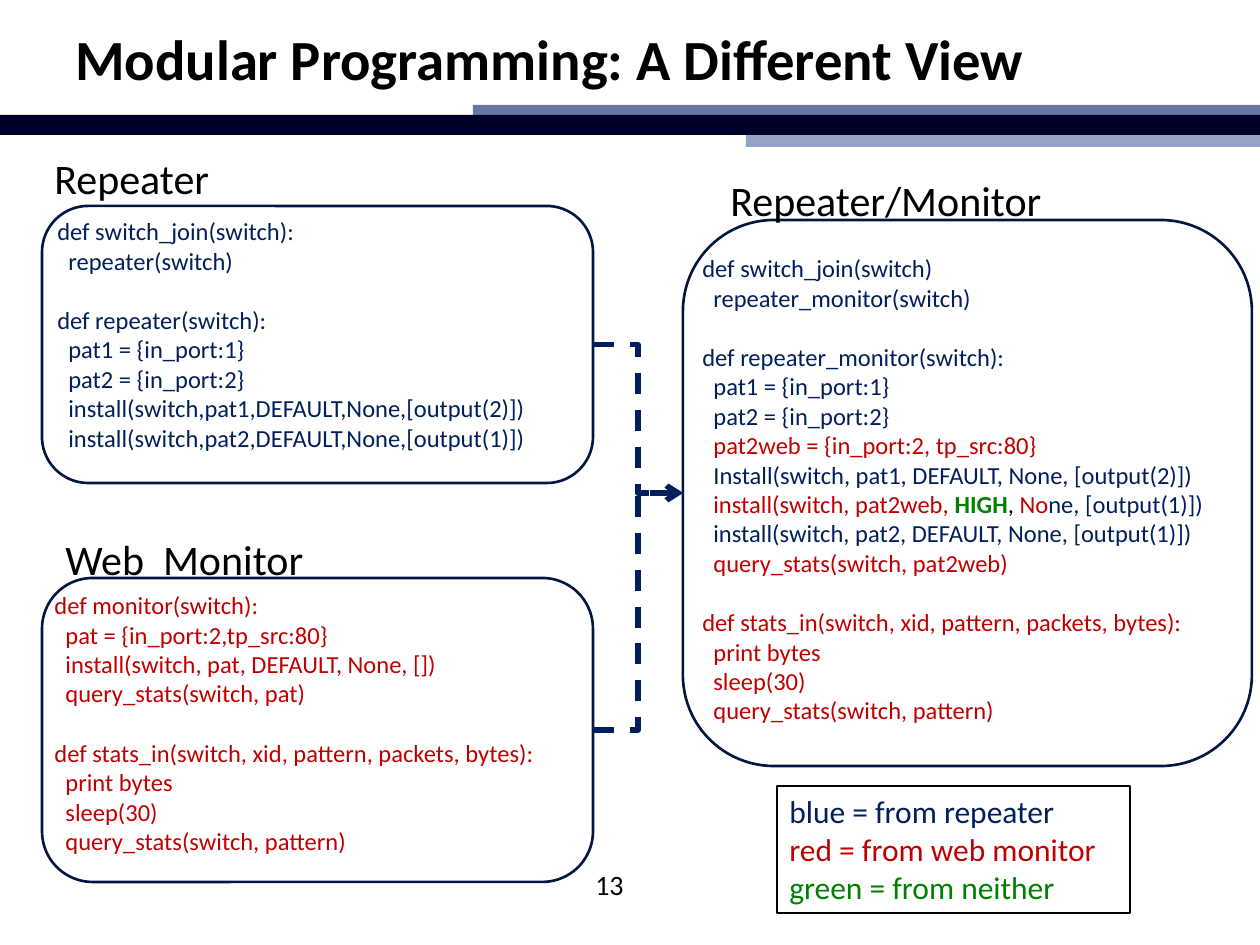
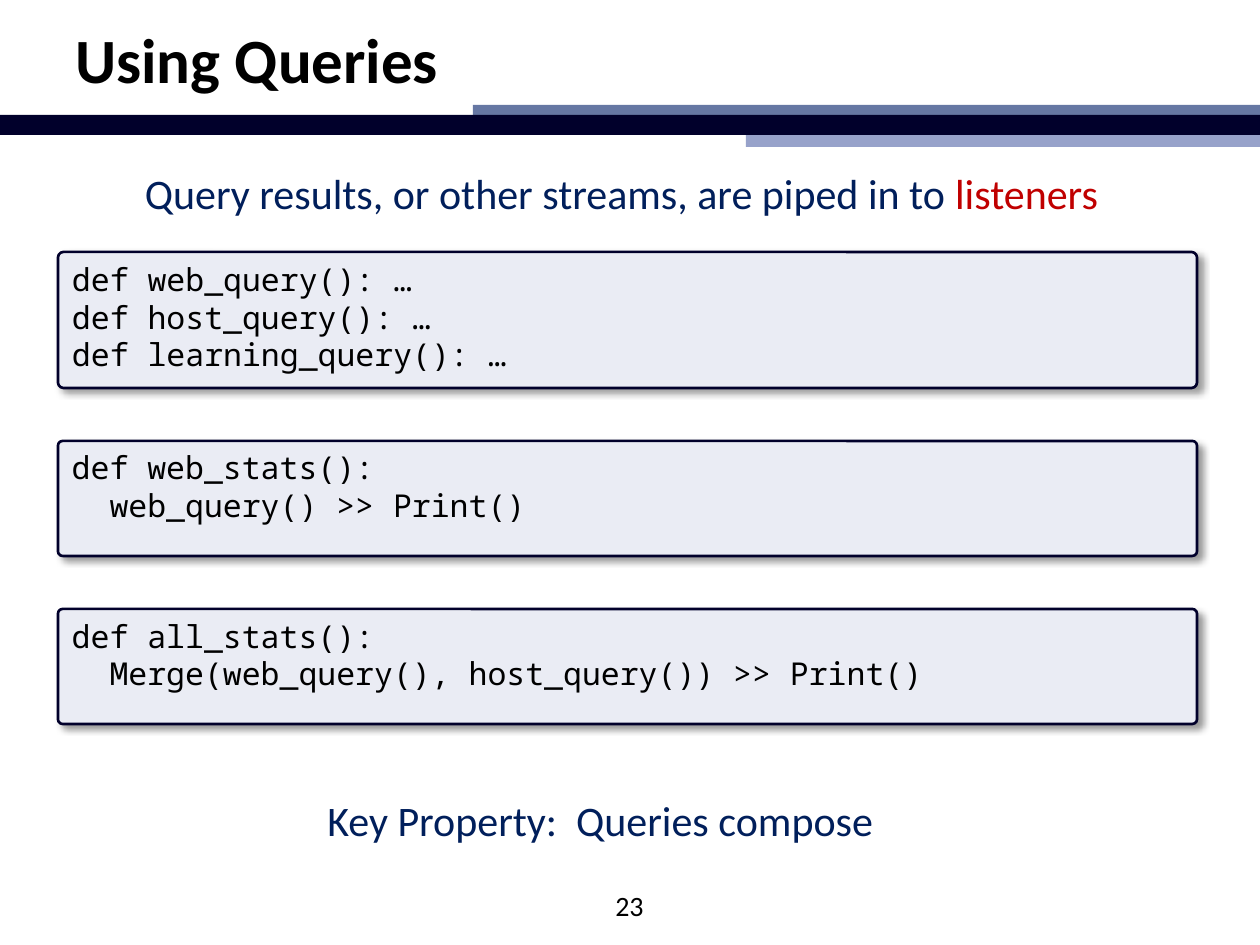
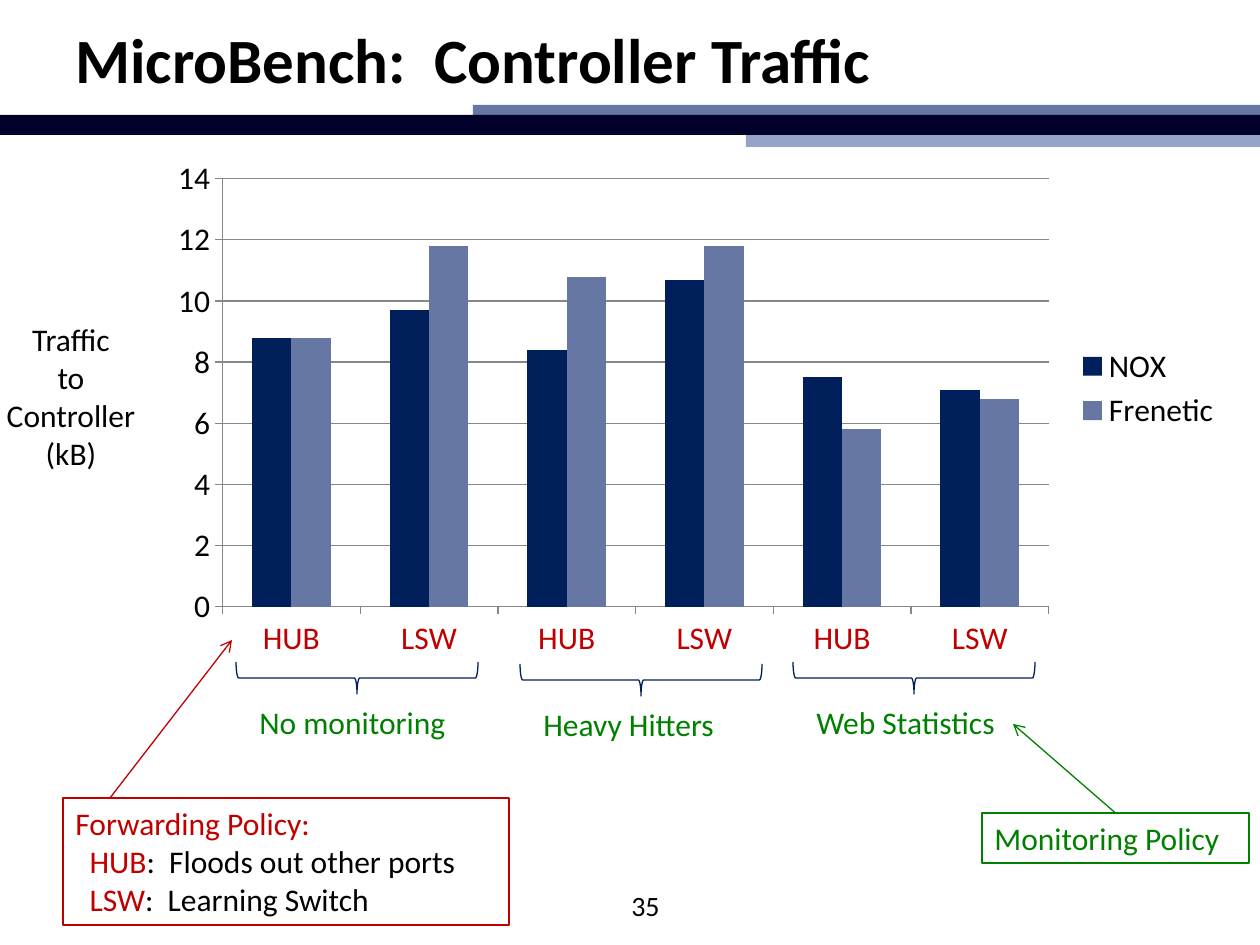
"""Build three slides on modular network programming: code views, queries and a traffic chart."""
from lxml import etree
from pptx import Presentation
from pptx import util as u
from pptx.chart.data import CategoryChartData
from pptx.dml.color import RGBColor
from pptx.enum import chart as ch
from pptx.enum import shapes, text
from pptx.oxml.ns import qn

PX = 914400 / 126
BLACK, NAVY, INK, SLATE, RED, GREEN = "000000", "011F5B", "01002B", "6677A3", "C00000", "008000"
OUTLINE, PALE, GRID = "011743", "EAECF4", "878787"
SANS, MONO = "Calibri", "Noto Sans Mono"
INDENT = {SANS: 0.45, MONO: 1.2}
LINE_HEIGHT = 1.22
KIND = shapes.MSO_SHAPE

BANDS = [((746, 126, 514, 21), "97A2CA"), ((473, 105, 787, 10), SLATE), ((0, 115, 1260, 20), INK)]

REPEATER = [
    "def switch_join(switch):",
    "  repeater(switch)",
    "",
    "def repeater(switch):",
    "  pat1 = {in_port:1}",
    "  pat2 = {in_port:2}",
    "  install(switch,pat1,DEFAULT,None,[output(2)])",
    "  install(switch,pat2,DEFAULT,None,[output(1)])",
]
STATS_IN = [
    "def stats_in(switch, xid, pattern, packets, bytes):",
    "  print bytes",
    "  sleep(30)",
    "  query_stats(switch, pattern)",
]
MONITOR = [
    "def monitor(switch):",
    "  pat = {in_port:2,tp_src:80}",
    "  install(switch, pat, DEFAULT, None, [])",
    "  query_stats(switch, pat)",
    "",
    *STATS_IN,
]
COMBINED = [
    "def switch_join(switch)",
    "  repeater_monitor(switch)",
    "",
    "def repeater_monitor(switch):",
    "  pat1 = {in_port:1}",
    "  pat2 = {in_port:2}",
    [("  pat2web = {in_port:2, tp_src:80}", RED)],
    "  Install(switch, pat1, DEFAULT, None, [output(2)])",
    [("  install(switch, pat2web, ", RED), ("HIGH", GREEN, True), (", ", BLACK),
     ("No", RED), ("ne, [output(1)])", NAVY)],
    "  install(switch, pat2, DEFAULT, None, [output(1)])",
    [("  query_stats(switch, pat2web)", RED)],
    "",
    *[[(line, RED)] for line in STATS_IN],
]
MODULES = [
    ("Repeater", (42, 157, 207, 42), (42, 206, 551, 277), REPEATER, (45, 210, 616, 251), NAVY),
    ("Web  Monitor", (53, 535, 368, 48), (42, 578, 551, 304), MONITOR, (42, 584, 551, 280), RED),
    ("Repeater/Monitor", (718, 179, 416, 42), (683, 220, 569, 546), COMBINED, (690, 247, 570, 488), NAVY),
]
COLOUR_KEY = [[("blue = from repeater", NAVY)], [("red = from web monitor", RED)],
              [("green = from neither", GREEN)]]

QUERY_CLAIM = [[("Query results, or other streams, are piped in to ", NAVY), ("listeners", RED)]]
QUERY_CODE = [
    (252, 136, ["def web_query(): …", "def host_query(): …", "def learning_query(): …"]),
    (441, 115, ["def web_stats():", "  web_query() >> Print()"]),
    (609, 115, ["def all_stats():", "  Merge(web_query(), host_query()) >> Print()"]),
]

POLICIES = ["HUB", "LSW"] * 3
TRAFFIC = [("NOX", NAVY, (8.8, 9.7, 8.4, 10.7, 7.5, 7.1)),
           ("Frenetic", SLATE, (8.8, 11.8, 10.8, 11.8, 5.8, 6.8))]
PLOT_AREA = {"x": 0.083, "y": 0.13, "w": 0.749, "h": 0.755}
MONITORING = [("No monitoring", 357, 678), ("Heavy Hitters", 641, 680), ("Web Statistics", 914, 678)]
FORWARDING = [
    [("Forwarding Policy:", RED)],
    [("  HUB", RED), (":  Floods out other ports", BLACK)],
    [("  LSW", RED), (":  Learning Switch", BLACK)],
]


def px(*lengths):
    return [u.Emu(round(length * PX)) for length in lengths]


def rgb(colour):
    return RGBColor.from_string(colour)


def write(frame, lines, size, colour=BLACK, font=SANS, bold=False, align="LEFT", anchor="TOP"):
    frame.word_wrap = True
    frame.vertical_anchor = getattr(text.MSO_ANCHOR, anchor)
    gap, first = 0, True
    for line in lines:
        if not line:
            gap = size * LINE_HEIGHT
            continue
        runs = [(line, colour)] if isinstance(line, str) else line
        paragraph = frame.paragraphs[0] if first else frame.add_paragraph()
        paragraph.alignment = getattr(text.PP_ALIGN, align)
        paragraph.space_before = u.Pt(gap)
        if runs[0][0].startswith("  "):
            margin = u.Pt(size * INDENT[font])
            paragraph._p.get_or_add_pPr().set("marL", str(int(margin)))
        for index, (words, tint, *strong) in enumerate(runs):
            run = paragraph.add_run()
            run.text = words if index else words.lstrip()
            run.font.name, run.font.size = font, u.Pt(size)
            run.font.bold = bool(strong) or bold
            run.font.color.rgb = rgb(tint)
        gap, first = 0, False


def add_text(slide, box, lines, size, **style):
    write(slide.shapes.add_textbox(*px(*box)).text_frame, lines, size, **style)


def add_panel(slide, kind, box, fill=None, line=None, width=0.75):
    panel = slide.shapes.add_shape(kind, *px(*box))
    panel.shadow.inherit = False
    if fill:
        panel.fill.solid()
        panel.fill.fore_color.rgb = rgb(fill)
    else:
        panel.fill.background()
    if line:
        panel.line.color.rgb = rgb(line)
        panel.line.width = u.Pt(width)
    else:
        panel.line.fill.background()
    return panel


def add_arrow(slide, kind, ends, colour, width=0.75, dash=None):
    arrow = slide.shapes.add_connector(kind, *px(*ends))
    arrow.line.color.rgb = rgb(colour)
    arrow.line.width = u.Pt(width)
    if dash:
        arrow.line.dash_style = dash
    etree.SubElement(arrow.line._get_or_add_ln(), qn("a:tailEnd"), type="arrow")
    etree.SubElement(arrow._element.spPr, qn("a:effectLst"))
    return arrow


def cast_shadow(panel):
    effects = panel._element.spPr.find(qn("a:effectLst"))
    shadow = etree.SubElement(effects, qn("a:outerShdw"), blurRad=str(u.Pt(4)), dist=str(u.Pt(3)),
                              dir="2700000", algn="tl", rotWithShape="0")
    tint = etree.SubElement(shadow, qn("a:srgbClr"), val=BLACK)
    etree.SubElement(tint, qn("a:alpha"), val="40000")


def start_slide(deck, title, number, number_at, title_size=36):
    slide = deck.slides.add_slide(deck.slide_layouts[6])
    for box, fill in BANDS:
        add_panel(slide, KIND.RECTANGLE, box, fill)
    add_text(slide, (63, 0, 1144, 116), [title], title_size, bold=True, anchor="MIDDLE")
    add_text(slide, (*number_at, 105, 63), [number], 16, align="CENTER")
    return slide


def build_modules(deck):
    slide = start_slide(deck, "Modular Programming: A Different View", "13", (557, 861), 32.4)
    frames = []
    for name, name_box, frame_box, code, code_box, colour in MODULES:
        frames.append(add_panel(slide, KIND.ROUNDED_RECTANGLE, frame_box, line=OUTLINE, width=1.5))
        add_text(slide, code_box, code, 14, colour=colour)
        add_text(slide, name_box, [name], 24, anchor="MIDDLE")
    *sources, combined = frames
    for source in sources:
        arrow = add_arrow(slide, shapes.MSO_CONNECTOR.ELBOW, (593, 344, 683, 493), NAVY, 3,
                          text_dash())
        arrow.begin_connect(source, 3)
        arrow.end_connect(combined, 1)
    key = add_panel(slide, KIND.RECTANGLE, (777, 786, 353, 127), line=BLACK)
    write(key.text_frame, COLOUR_KEY, 18)


def text_dash():
    from pptx.enum.dml import MSO_LINE
    return MSO_LINE.DASH


def build_queries(deck):
    slide = start_slide(deck, "Using Queries", "23", (577, 882))
    add_text(slide, (26, 161, 1191, 63), QUERY_CLAIM, 24, align="CENTER")
    for top, height, code in QUERY_CODE:
        panel = add_panel(slide, KIND.ROUNDED_RECTANGLE, (58, top, 1139, height), PALE, INK, 1.5)
        panel.adjustments[0] = 0.04
        cast_shadow(panel)
        write(panel.text_frame, code, 18, font=MONO)
    add_text(slide, (315, 788, 639, 63), ["Key Property:  Queries compose"], 24, colour=NAVY)


def add_traffic_chart(slide):
    data = CategoryChartData()
    data.categories = POLICIES
    for name, _, values in TRAFFIC:
        data.add_series(name, values)
    chart = slide.shapes.add_chart(ch.XL_CHART_TYPE.COLUMN_CLUSTERED, *px(131, 105, 1103, 567), data).chart
    chart.has_title = False
    chart.font.name, chart.font.size = SANS, u.Pt(18)
    chart.font.color.rgb = rgb(BLACK)
    chart.has_legend = True
    chart.legend.position = ch.XL_LEGEND_POSITION.RIGHT
    chart.legend.include_in_layout = False
    plot = chart.plots[0]
    plot.gap_width, plot.overlap, plot.vary_by_categories = 150, 0, False
    for series, (_, colour, _) in zip(plot.series, TRAFFIC):
        series.format.fill.solid()
        series.format.fill.fore_color.rgb = rgb(colour)
    policies, traffic = chart.category_axis, chart.value_axis
    traffic.minimum_scale, traffic.maximum_scale, traffic.major_unit = 0, 14, 2
    traffic.has_major_gridlines = True
    for part in (policies, traffic, traffic.major_gridlines):
        part.format.line.color.rgb = rgb(GRID)
        part.format.line.width = u.Pt(0.75)
    for axis in (policies, traffic):
        axis.major_tick_mark = ch.XL_TICK_MARK.OUTSIDE
    policies.tick_labels.font.size = u.Pt(18)
    policies.tick_labels.font.color.rgb = rgb(RED)
    place_plot(chart)


def place_plot(chart):
    area = chart._chartSpace.chart.plotArea
    for old in area.findall(qn("c:layout")):
        area.remove(old)
    layout = etree.Element(qn("c:layout"))
    area.insert(0, layout)
    manual = etree.SubElement(layout, qn("c:manualLayout"))
    settings = {"layoutTarget": "inner", "xMode": "edge", "yMode": "edge", **PLOT_AREA}
    for tag, value in settings.items():
        etree.SubElement(manual, qn(f"c:{tag}"), val=str(value))


def build_traffic(deck):
    slide = start_slide(deck, "MicroBench:  Controller Traffic", "35", (593, 882))
    add_traffic_chart(slide)
    add_text(slide, (-11, 314, 164, 165), ["Traffic", "to", "Controller", "(kB)"], 18, align="CENTER")
    for name, middle, level in MONITORING:
        brace = add_panel(slide, KIND.RIGHT_BRACE, (middle - 16, level - 121, 32, 242), line=NAVY)
        brace.rotation = 90
        add_text(slide, (middle - 110, level + 19, 227, 50), [name], 18, colour=GREEN)
    forwarding = add_panel(slide, KIND.RECTANGLE, (63, 798, 446, 127), line=RED)
    write(forwarding.text_frame, FORWARDING, 18)
    add_arrow(slide, shapes.MSO_CONNECTOR.STRAIGHT, (110, 798, 232, 640), RED)
    monitoring = add_panel(slide, KIND.RECTANGLE, (982, 813, 267, 50), line=GREEN)
    write(monitoring.text_frame, ["Monitoring Policy"], 18, colour=GREEN)
    pointer = add_arrow(slide, shapes.MSO_CONNECTOR.STRAIGHT, (1116, 813, 1013, 724), GREEN)
    pointer.begin_connect(monitoring, 0)


def main():
    deck = Presentation()
    deck.slide_width, deck.slide_height = px(1260, 945)
    for build in (build_modules, build_queries, build_traffic):
        build(deck)
    deck.save("out.pptx")


if __name__ == "__main__":
    main()
